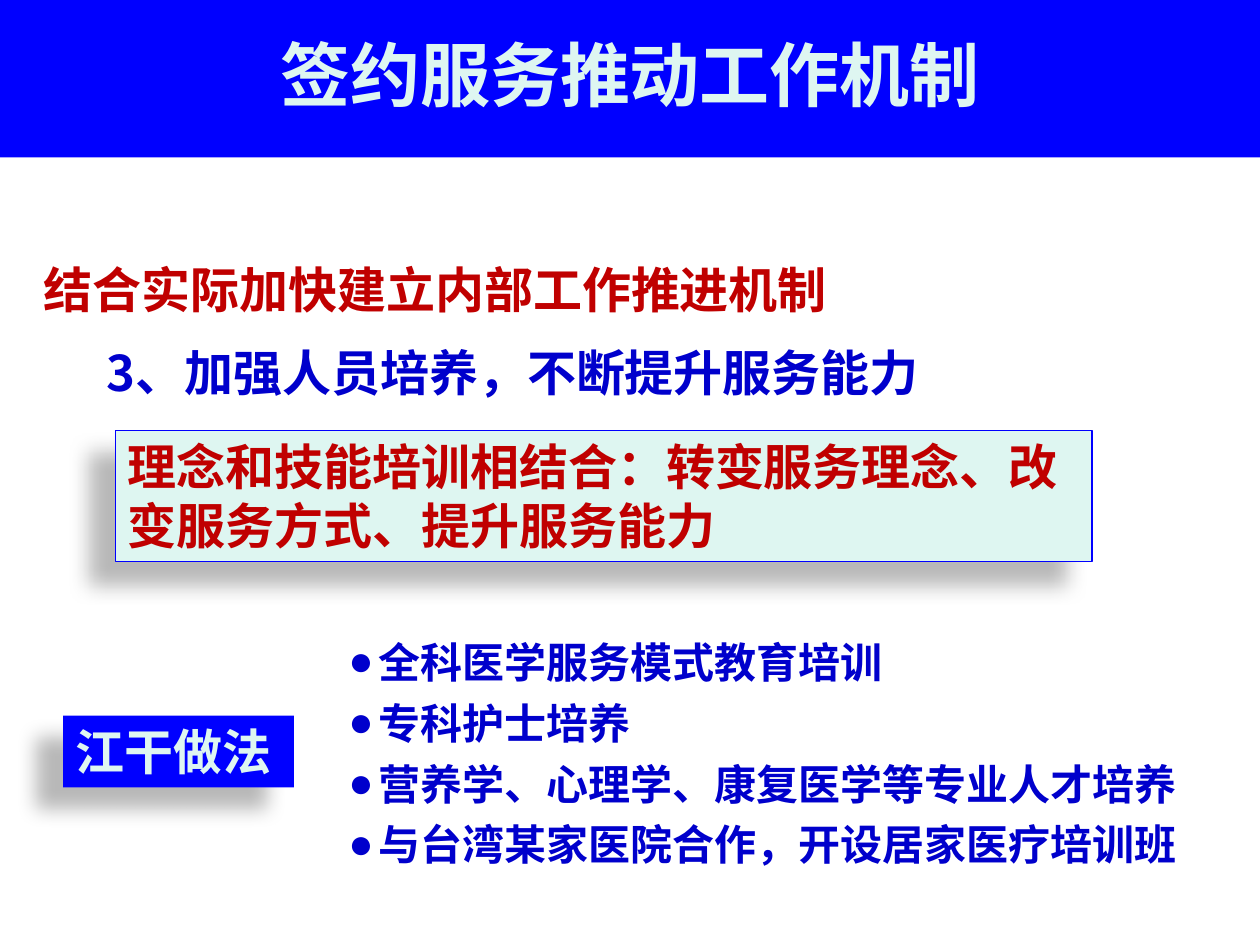
import pptx
import pptx.dml.color
import pptx.enum.shapes
import pptx.enum.text
import pptx.oxml
import pptx.oxml.ns
import pptx.util
from lxml import etree

Pt = pptx.util.Pt
FONT = "Noto Sans CJK SC"
BLUE, NAVY, RED, MINT = "0000FF", "0000CC", "C00000", "DEF6F1"
PRACTICES = [
    "全科医学服务模式教育培训",
    "专科护士培养",
    "营养学、心理学、康复医学等专业人才培养",
    "与台湾某家医院合作，开设居家医疗培训班",
]


def color(value):
    """Return an RGB colour from a hex string."""
    return pptx.dml.color.RGBColor.from_string(value)


def place(shape, left, top, width, height):
    """Set the position and size of a shape in points."""
    shape.left, shape.top = Pt(left), Pt(top)
    shape.width, shape.height = Pt(width), Pt(height)


def add_bullet(paragraph, indent=17):
    """Give a paragraph a hanging round bullet."""
    properties = paragraph._p.get_or_add_pPr()
    properties.set("marL", str(Pt(indent)))
    properties.set("indent", str(-Pt(indent)))
    for tag, name, value in (("a:buFont", "typeface", "Arial"), ("a:buChar", "char", "●")):
        etree.SubElement(properties, pptx.oxml.ns.qn(tag)).set(name, value)


def format_font(paragraph, size, text_color):
    """Set the bold font of a paragraph for Latin and East Asian text."""
    font = paragraph.font
    font.size, font.bold, font.name = Pt(size), True, FONT
    font.color.rgb = color(text_color)
    properties = paragraph._p.pPr.find(pptx.oxml.ns.qn("a:defRPr"))
    latin = properties.find(pptx.oxml.ns.qn("a:latin"))
    east_asian = etree.Element(pptx.oxml.ns.qn("a:ea"), typeface=FONT)
    latin.addnext(east_asian)


def write(shape, lines, size, text_color, bulleted=False, spacing=None):
    """Fill a shape with left-aligned paragraphs from its top."""
    frame = shape.text_frame
    frame.word_wrap = True
    frame.vertical_anchor = pptx.enum.text.MSO_ANCHOR.TOP
    frame.text = "\n".join(lines)
    for index, paragraph in enumerate(frame.paragraphs):
        paragraph.alignment = pptx.enum.text.PP_ALIGN.LEFT
        if spacing:
            paragraph.line_spacing = spacing
        if index:
            paragraph.space_before = Pt(6)
        if bulleted:
            add_bullet(paragraph)
        format_font(paragraph, size, text_color)


def add_text(slide, box, lines, size, text_color, **options):
    """Add a text box."""
    shape = slide.shapes.add_textbox(*map(Pt, box))
    write(shape, lines, size, text_color, **options)


def add_shadow(shape):
    """Cast a soft shadow to the lower left of a shape."""
    shape.shadow.inherit = False
    effects = shape._element.spPr.find(pptx.oxml.ns.qn("a:effectLst"))
    effects.append(pptx.oxml.parse_xml(
        f'<a:outerShdw {pptx.oxml.ns.nsdecls("a")} blurRad="{Pt(11.8)}" dist="{Pt(19.7)}" '
        'dir="8460000" algn="ctr" rotWithShape="0">'
        '<a:srgbClr val="000000"><a:alpha val="28000"/></a:srgbClr></a:outerShdw>'))


def add_panel(slide, box, text, fill, text_color, outline=None):
    """Add a filled rectangle with a shadow and text."""
    shape = slide.shapes.add_shape(
        pptx.enum.shapes.MSO_SHAPE.RECTANGLE, *map(Pt, box))
    shape.fill.solid()
    shape.fill.fore_color.rgb = color(fill)
    if outline:
        shape.line.color.rgb = color(outline)
        shape.line.width = Pt(0.75)
    else:
        shape.line.fill.background()
    add_shadow(shape)
    write(shape, [text], 28, text_color)


def format_title(slide, text):
    """Turn the title placeholder into a full-width banner."""
    title = slide.shapes.title
    place(title, 0, 0, 720, 90)
    title.fill.solid()
    title.fill.fore_color.rgb = color(BLUE)
    title.text_frame.text = text
    title.text_frame.vertical_anchor = pptx.enum.text.MSO_ANCHOR.MIDDLE
    paragraph = title.text_frame.paragraphs[0]
    paragraph.alignment = pptx.enum.text.PP_ALIGN.CENTER
    paragraph.line_spacing = 0.9
    format_font(paragraph, 40, MINT)


def main():
    """Build and save the slide."""
    presentation = pptx.Presentation()
    presentation.slide_width, presentation.slide_height = Pt(720), Pt(540)
    slide = presentation.slides.add_slide(presentation.slide_layouts[5])
    format_title(slide, "签约服务推动工作机制")
    add_text(slide, (18, 126, 558, 60), ["结合实际加快建立内部工作推进机制"], 28, RED, spacing=1.55)
    add_panel(slide, (66, 246, 558, 75),
              "理念和技能培训相结合：转变服务理念、改变服务方式、提升服务能力", MINT, RED, BLUE)
    add_text(slide, (54, 192, 618, 41), ["3、加强人员培养，不断提升服务能力"], 28, NAVY)
    add_text(slide, (192, 360, 504, 142), PRACTICES, 24, NAVY, bulleted=True)
    add_panel(slide, (36, 409, 132, 41), "江干做法", BLUE, MINT)
    presentation.save("out.pptx")


if __name__ == "__main__":
    main()
